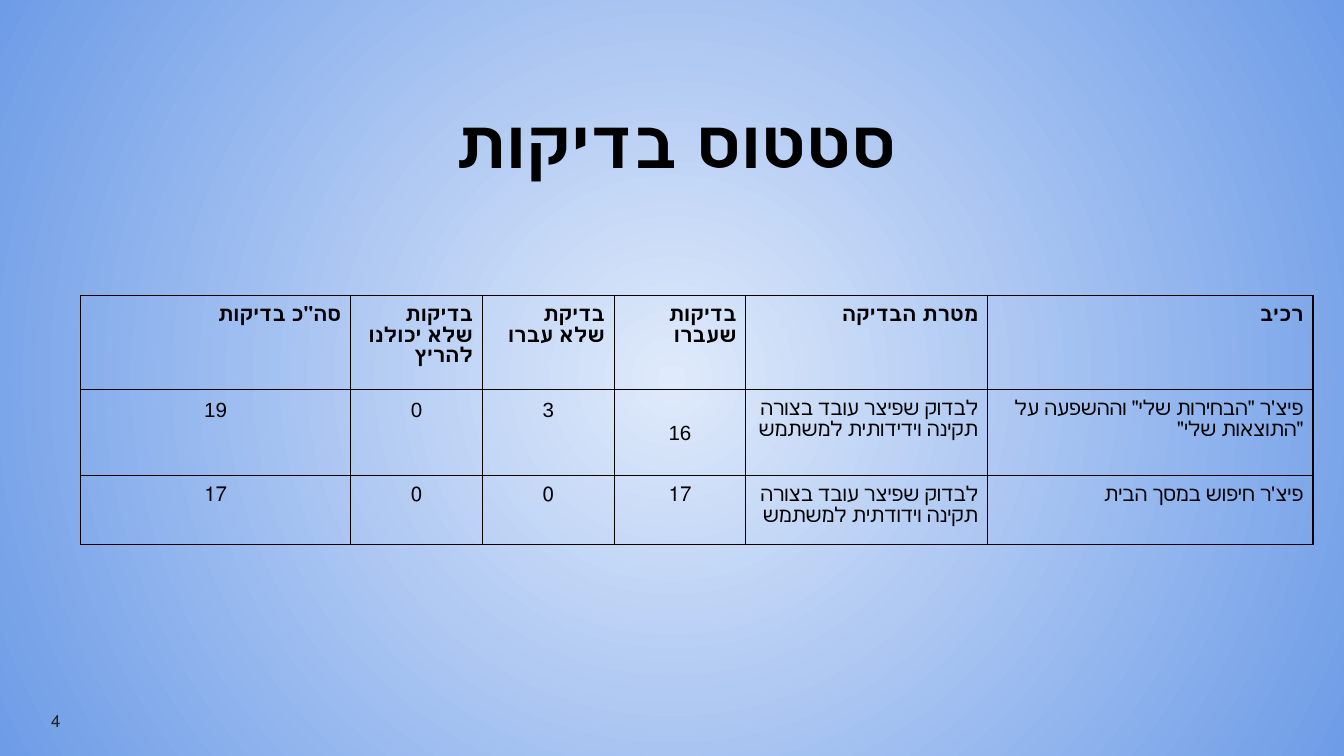
from pptx import Presentation
from pptx.dml.color import RGBColor
from pptx.enum.text import MSO_ANCHOR, PP_ALIGN
from pptx.oxml import parse_xml
from pptx.oxml.ns import nsdecls, qn
from pptx.util import Inches, Pt

LEFT, MID, RIGHT = PP_ALIGN.LEFT, PP_ALIGN.CENTER, PP_ALIGN.RIGHT
CENTER, BOTTOM = MSO_ANCHOR.MIDDLE, MSO_ANCHOR.BOTTOM

COLORS = {"text": "000000", "page": "212121", "glow": "DFEAFB", "edge": "6E9CE7"}
TITLE = "סטטוס בדיקות"
PAGE = "4"
HEADS = ['סה"כ בדיקות', "בדיקות שלא יכולנו להריץ", "בדיקת שלא עברו",
         "בדיקות שעברו", "מטרת הבדיקה", "רכיב"]
TESTS = [
    ["19", "0", "3", "16", "לבדוק שפיצר עובד בצורה תקינה וידידותית למשתמש",
     "פיצ'ר \"הבחירות שלי\" וההשפעה על \"התוצאות שלי\""],
    ["17", "0", "0", "17", "לבדוק שפיצר עובד בצורה תקינה וידודתית למשתמש",
     "פיצ'ר חיפוש במסך הבית"],
]
WIDTHS = [2.01, 0.98, 0.98, 0.98, 1.8, 2.42]
HEIGHTS = [0.7, 0.64, 0.51]
PAD = 0.07
DROP = {(1, 3): 0.17}


def write(frame, text, size=11, font="Arial", color="text", bold=False,
          align=RIGHT, rtl=True):
    para = frame.paragraphs[0]
    para.alignment = align
    if rtl:
        para._p.get_or_add_pPr().set("rtl", "1")
    run = para.add_run()
    run.text = text
    run.font.size = Pt(size)
    run.font.name = font
    run.font.bold = bold
    run.font.color.rgb = RGBColor.from_string(COLORS[color])
    return para


def place(shape, left, top, width, height, anchor):
    shape.left, shape.top = Inches(left), Inches(top)
    shape.width, shape.height = Inches(width), Inches(height)
    frame = shape.text_frame
    frame.word_wrap = True
    frame.vertical_anchor = anchor
    frame.margin_left = frame.margin_right = Inches(PAD)
    frame.margin_top = frame.margin_bottom = Inches(0.04)
    return frame


def border(cell):
    props = cell._tc.get_or_add_tcPr()
    for spot, side in enumerate("LRTB"):
        props.insert(spot, parse_xml(
            f'<a:ln{side} {nsdecls("a")} w="{Pt(0.75)}"><a:solidFill>'
            f'<a:srgbClr val="{COLORS["text"]}"/></a:solidFill></a:ln{side}>'))


def paint(slide):
    fill = slide.background.fill
    fill.gradient()
    for stop, name in zip(fill.gradient_stops, ("glow", "edge")):
        stop.color.rgb = RGBColor.from_string(COLORS[name])
    grad = next(slide._element.iter(qn("a:gradFill")))
    grad.replace(grad.find(qn("a:lin")), parse_xml(
        f'<a:path {nsdecls("a")} path="circle">'
        '<a:fillToRect l="50000" t="50000" r="50000" b="50000"/></a:path>'))


def build_table(slide):
    rows = [HEADS] + TESTS
    table = slide.shapes.add_table(
        len(rows), len(HEADS), Inches(0.6), Inches(2.2),
        Inches(sum(WIDTHS)), Inches(sum(HEIGHTS))).table
    table.first_row = table.horz_banding = False
    for col, width in zip(table.columns, WIDTHS):
        col.width = Inches(width)
    for row, height in zip(table.rows, HEIGHTS):
        row.height = Inches(height)
    for r, texts in enumerate(rows):
        for c, text in enumerate(texts):
            cell = table.cell(r, c)
            cell.margin_left = cell.margin_right = cell.margin_bottom = Inches(PAD)
            cell.margin_top = Inches(PAD + DROP.get((r, c), 0))
            cell.fill.background()
            border(cell)
            digits = text.isdigit()
            write(cell.text_frame, text, bold=r == 0,
                  align=MID if digits else RIGHT, rtl=not (digits and r == 1))


def main():
    deck = Presentation()
    deck.slide_width = Inches(10)
    deck.slide_height = deck.slide_width * 9 // 16
    slide = deck.slides.add_slide(deck.slide_layouts[5])
    paint(slide)
    head = place(slide.shapes.title, 1.02, 0.31, 8.02, 1.09, BOTTOM)
    write(head, TITLE, size=36, font="Cabin", bold=True, align=MID).line_spacing = 0.9
    build_table(slide)
    page = place(slide.shapes.add_textbox(0, 0, 0, 0), 0.31, 5.21, 1.36, 0.3, CENTER)
    write(page, PAGE, size=9, font="Cabin", color="page", align=LEFT)
    deck.save("out.pptx")


if __name__ == "__main__":
    main()
